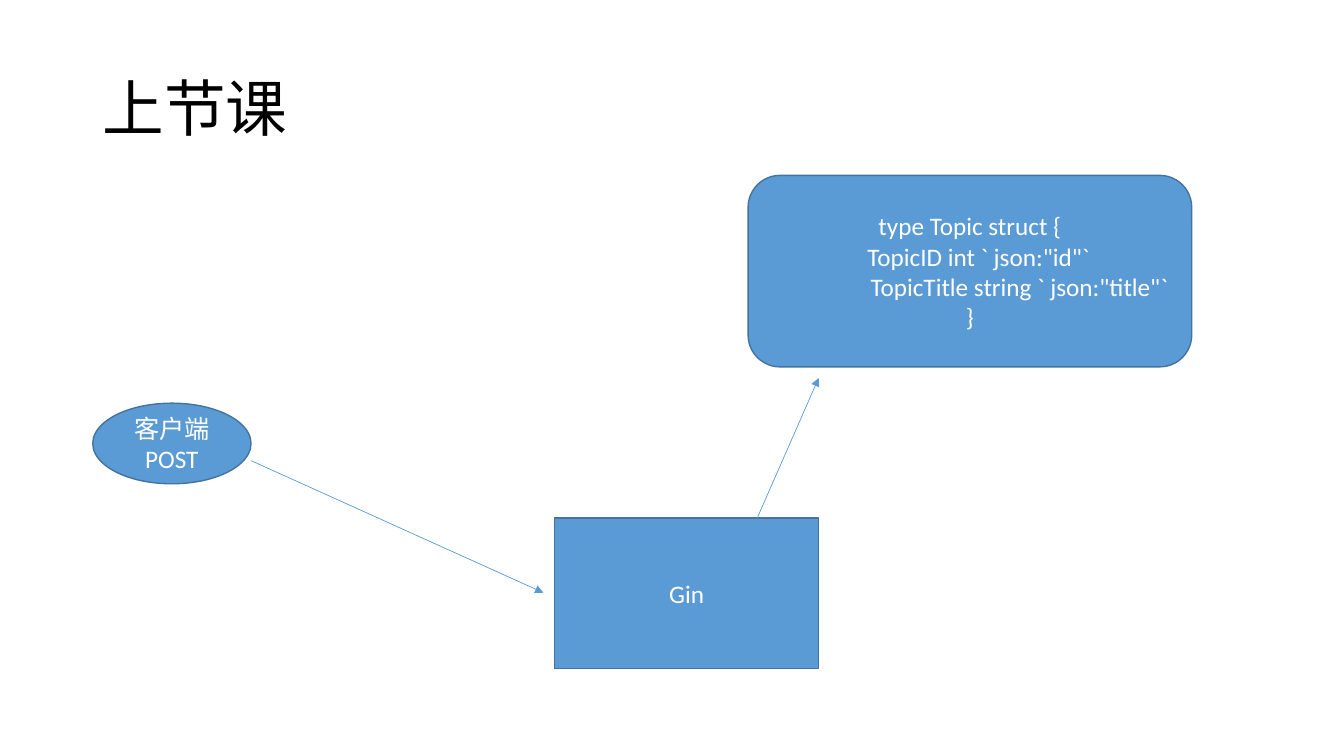
import pptx
import pptx.util
from pptx.dml.color import RGBColor
from pptx.enum.shapes import MSO_CONNECTOR, MSO_SHAPE
from pptx.enum.text import MSO_ANCHOR, PP_ALIGN
from pptx.oxml.ns import qn
from lxml import etree

Inches, Pt = pptx.util.Inches, pptx.util.Pt
BLUE, EDGE, WHITE, BLACK = "5B9BD5", "43739E", "FFFFFF", "000000"


def rgb(value):
    return RGBColor.from_string(value)


def write(sp, lines, size, color, align):
    """Fill a shape with (text, left indent in inches) paragraphs."""
    tf = sp.text_frame
    tf.word_wrap = True
    tf.vertical_anchor = MSO_ANCHOR.MIDDLE
    tf.text = "\n".join(text for text, indent in lines)
    for p, (text, indent) in zip(tf.paragraphs, lines):
        p.alignment = align
        if indent:
            p._p.get_or_add_pPr().set("marL", str(Inches(indent)))
        for r in p.runs:
            r.font.name = "Calibri"
            r.font.size = Pt(size)
            r.font.color.rgb = rgb(color)


prs = pptx.Presentation()
prs.slide_width, prs.slide_height = Inches(13.33), Inches(7.5)
s = prs.slides.add_slide(prs.slide_layouts[6])

title = s.shapes.add_textbox(*map(Inches, (0.92, 0.38, 11.5, 1.45)))
write(title, [("上节课", 0)], 44, BLACK, PP_ALIGN.JUSTIFY)
title.text_frame.paragraphs[0].line_spacing = 0.9

struct_lines = [
    ("type Topic struct {", 0),
    ('TopicID int ` json:"id"`', 0.17),
    ('TopicTitle string ` json:"title"`', 0.98),
    ("}", 0),
]
nodes = [
    (MSO_SHAPE.OVAL, (0.92, 4, 1.57, 0.8), [("客户端POST", 0)]),
    (MSO_SHAPE.RECTANGLE, (5.5, 5.14, 2.62, 1.49), [("Gin", 0)]),
    (MSO_SHAPE.ROUNDED_RECTANGLE, (7.42, 1.74, 4.4, 1.9), struct_lines),
]
for kind, box, lines in nodes:
    sp = s.shapes.add_shape(kind, *map(Inches, box))
    sp.shadow.inherit = False
    sp.fill.solid()
    sp.fill.fore_color.rgb = rgb(BLUE)
    sp.line.color.rgb = rgb(EDGE)
    sp.line.width = Pt(1)
    write(sp, lines, 18, WHITE, PP_ALIGN.CENTER)

arrows = [(2.49, 4.57, 5.39, 5.88), (7.51, 5.14, 8.12, 3.75)]
for ends in arrows:
    arrow = s.shapes.add_connector(MSO_CONNECTOR.STRAIGHT, *map(Inches, ends))
    arrow.line.color.rgb = rgb(BLUE)
    arrow.line.width = Pt(0.5)
    etree.SubElement(arrow.line._get_or_add_ln(), qn("a:tailEnd"), type="triangle")
    etree.SubElement(arrow._element.spPr, qn("a:effectLst"))

prs.save("out.pptx")
